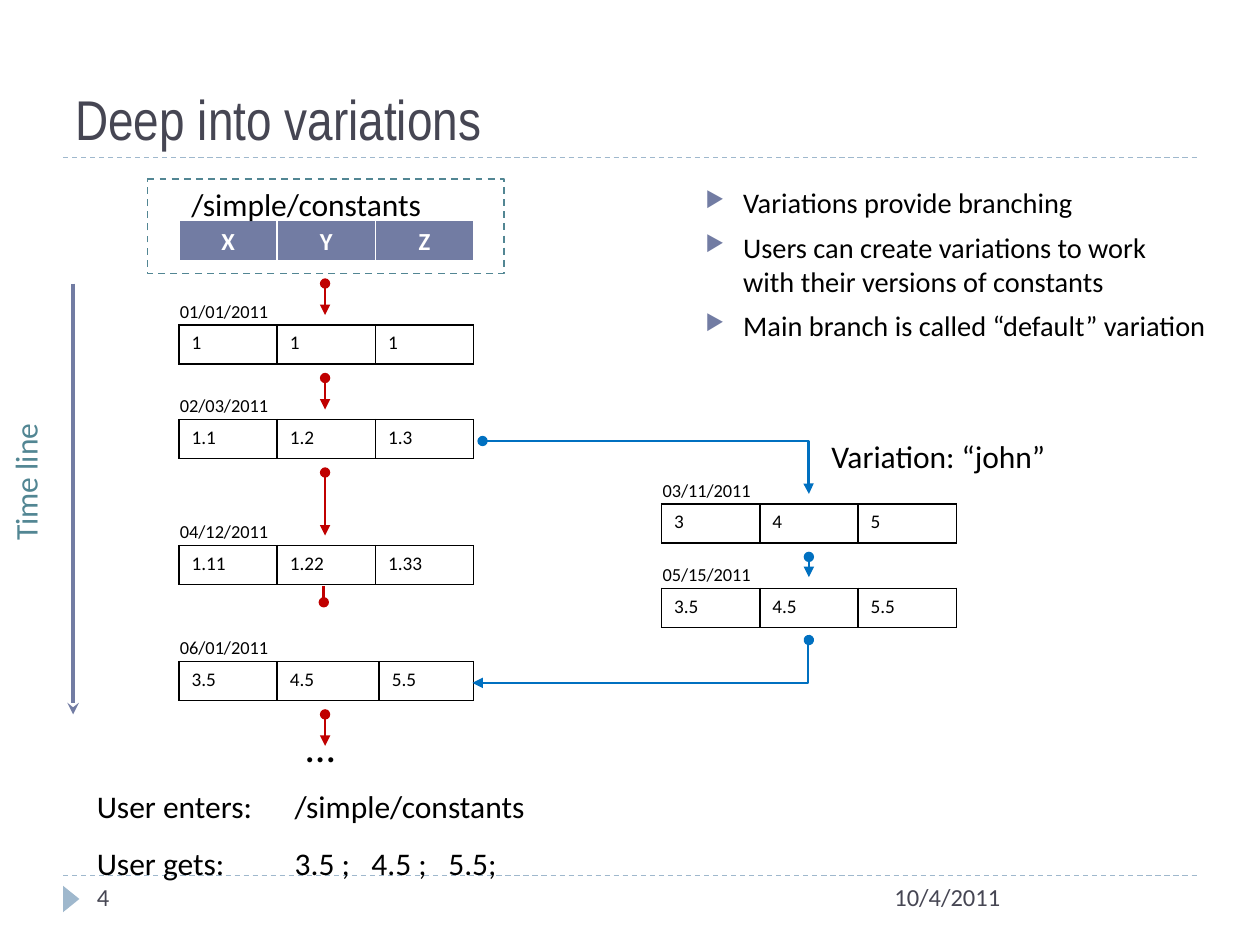
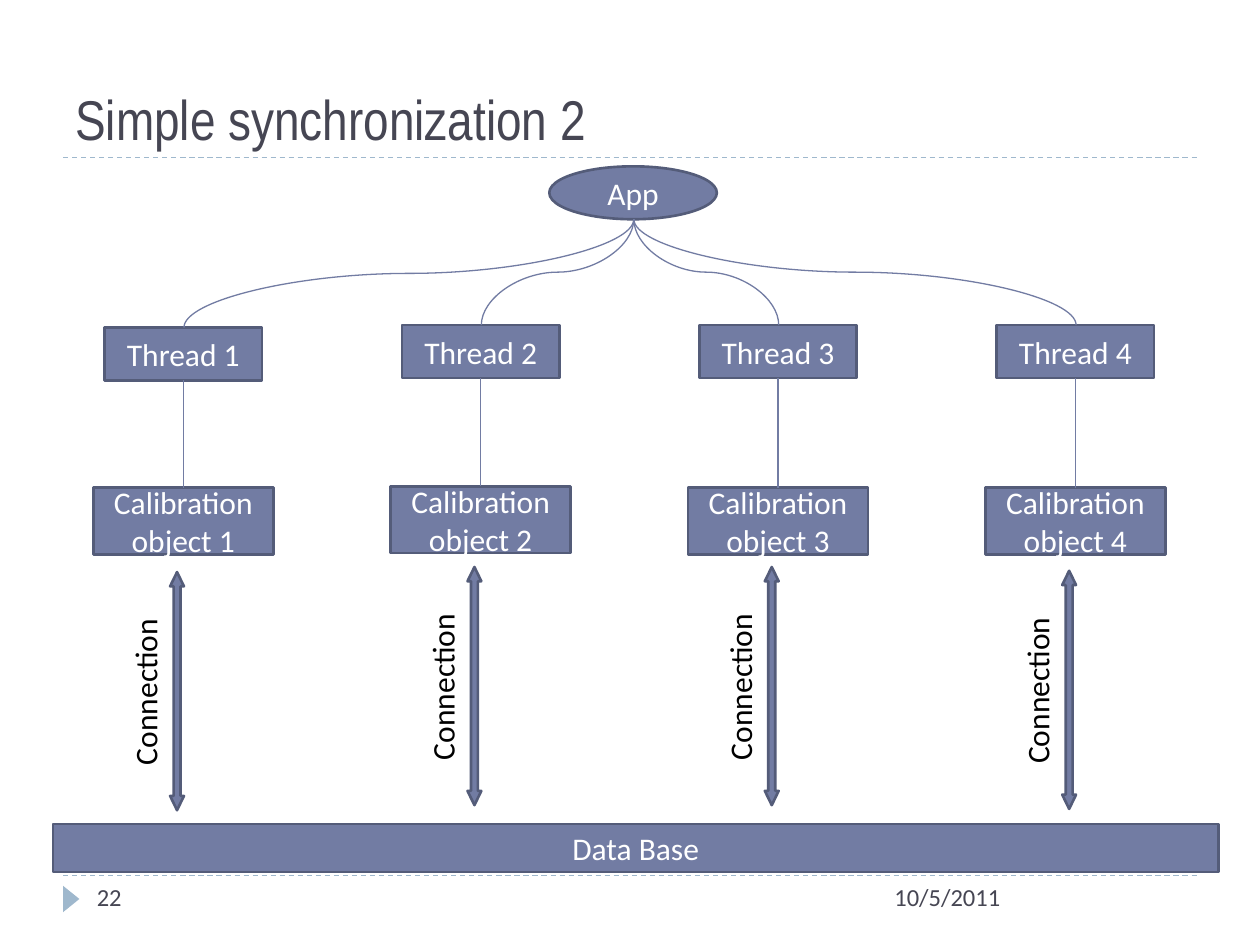
import pptx
import pptx.dml.color
import pptx.enum.dml
import pptx.enum.shapes
import pptx.enum.text
import pptx.oxml
import pptx.oxml.ns
import pptx.util
from lxml import etree

Inches = pptx.util.Inches
Pt = pptx.util.Pt
RGBColor = pptx.dml.color.RGBColor
qn = pptx.oxml.ns.qn
MSO_SHAPE = pptx.enum.shapes.MSO_SHAPE
MSO_CONNECTOR = pptx.enum.shapes.MSO_CONNECTOR
PP_ALIGN = pptx.enum.text.PP_ALIGN
MSO_ANCHOR = pptx.enum.text.MSO_ANCHOR
DASH = pptx.enum.dml.MSO_LINE.DASH

SLATE = RGBColor(0x72, 0x7C, 0xA3)
SLATE_EDGE = RGBColor(0x54, 0x5C, 0x79)
PALE_BLUE = RGBColor(0x9F, 0xB8, 0xCD)
TEAL = RGBColor(0x52, 0x86, 0x93)
TITLE_GREY = RGBColor(0x46, 0x46, 0x53)
RED = RGBColor(0xC0, 0x00, 0x00)
BLUE = RGBColor(0x00, 0x70, 0xC0)
BLACK = RGBColor(0, 0, 0)
WHITE = RGBColor(0xFF, 0xFF, 0xFF)

BODY_FONT = "Calibri"
TITLE_FONT = "Arial Narrow"
COLUMN_WIDTH = 0.78


def set_all(target, formats):
    for name, value in formats.items():
        setattr(target, name, value)


class Deck:
    """Holds the presentation, its shared style and the slide being drawn."""

    def __init__(self):
        self.presentation = pptx.Presentation()
        set_all(self.presentation, {"slide_width": Inches(10), "slide_height": Inches(7.5)})
        self.slide = None

    def new_slide(self, title, number, date):
        self.slide = self.presentation.slides.add_slide(self.presentation.slide_layouts[6])
        for y in (6.95, 1.25):
            self.line((0.5, y), (9.5, y), PALE_BLUE, 0.75, dash=True)
        self.shape(MSO_SHAPE.ISOSCELES_TRIANGLE, (0.46, 7.07, 0.21, 0.13),
                   fill=PALE_BLUE, rotation=90)
        self.text((0.5, 0.17, 9, 1.08), [title], 32, TITLE_GREY, font=TITLE_FONT,
                  anchor=MSO_ANCHOR.BOTTOM, wrap=True)
        self.text((7, 6.95, 2.5, 0.4), [date], 14, TITLE_GREY, wrap=True)
        self.text((0.67, 6.95, 2.17, 0.4), [number], 14, TITLE_GREY, wrap=True)

    def fill_text(self, frame, lines, size, color, font=BODY_FONT, bold=False,
                  **paragraph_formats):
        """Fill a text frame with one paragraph per line; a newline inside breaks the line."""
        for index, line in enumerate(lines):
            paragraph = frame.paragraphs[0] if index == 0 else frame.add_paragraph()
            paragraph.text = line
            set_all(paragraph, paragraph_formats)
            for run in paragraph.runs:
                set_all(run.font, {"name": font, "size": Pt(size), "bold": bold})
                run.font.color.rgb = color
            for line_break in paragraph._p.findall(qn("a:br")):
                etree.SubElement(line_break, qn("a:rPr"), sz=str(round(size * 100)))

    def text(self, at, lines, size=18, color=BLACK, font=BODY_FONT, anchor=MSO_ANCHOR.TOP,
             wrap=False, rotation=0, **paragraph_formats):
        box = self.slide.shapes.add_textbox(*map(Inches, at))
        box.rotation = rotation
        set_all(box.text_frame, {"word_wrap": wrap, "vertical_anchor": anchor})
        self.fill_text(box.text_frame, lines, size, color, font, **paragraph_formats)
        return box

    def bullets(self, at, lines, size):
        box = self.text(at, lines, size, wrap=True, space_before=Pt(6))
        for paragraph in box.text_frame.paragraphs:
            properties = paragraph._p.get_or_add_pPr()
            properties.set("marL", str(Inches(0.3)))
            properties.set("indent", str(Inches(-0.3)))
            bullet_color = etree.SubElement(properties, qn("a:buClr"))
            etree.SubElement(bullet_color, qn("a:srgbClr"), val=str(SLATE))
            etree.SubElement(properties, qn("a:buSzPct"), val="76000")
            etree.SubElement(properties, qn("a:buChar"), char="▶")

    def shape(self, kind, at, lines=(), fill=SLATE, edge=None, edge_width=1.5, dash=False,
              rotation=0, color=WHITE, align=PP_ALIGN.CENTER, **paragraph_formats):
        shape = self.slide.shapes.add_shape(kind, *map(Inches, at))
        shape.shadow.inherit = False
        shape.rotation = rotation
        shape.fill.solid()
        shape.fill.fore_color.rgb = fill
        if edge is None:
            shape.line.fill.background()
        else:
            shape.line.color.rgb = edge
            shape.line.width = Pt(edge_width)
        if dash:
            shape.line.dash_style = DASH
        shape.text_frame.vertical_anchor = MSO_ANCHOR.MIDDLE
        self.fill_text(shape.text_frame, lines, 18, color, alignment=align, **paragraph_formats)
        return shape

    def line(self, start, end, color, width=1.5, head=None, tail=None, dash=False,
             kind=MSO_CONNECTOR.STRAIGHT, bend=None):
        """Draw a connector; bend is where an elbow turns, in 1/100000 of its width."""
        connector = self.slide.shapes.add_connector(kind, *map(Inches, (*start, *end)))
        connector.line.color.rgb = color
        connector.line.width = Pt(width)
        if dash:
            connector.line.dash_style = DASH
        outline = connector.line._get_or_add_ln()
        for tag, arrow in (("a:headEnd", head), ("a:tailEnd", tail)):
            if arrow:
                etree.SubElement(outline, qn(tag), type=arrow)
        properties = connector._element.spPr
        etree.SubElement(properties, qn("a:effectLst"))
        if bend is not None:
            guides = properties.find(qn("a:prstGeom")).get_or_add_avLst()
            etree.SubElement(guides, qn("a:gd"), name="adj1", fmla=f"val {bend}")
        return connector

    def flow(self, start, end, color, **options):
        self.line(start, end, color, head="oval", tail="triangle", **options)

    def drop_curve(self, start, end):
        """Draw a curve that leaves and arrives vertically, as a turned connector."""
        middle_x, middle_y = (start[0] + end[0]) / 2, (start[1] + end[1]) / 2
        half_width, half_height = (end[1] - start[1]) / 2, abs(end[0] - start[0]) / 2
        goes_left = end[0] < start[0]
        side = half_width if goes_left else -half_width
        curve = self.line((middle_x - side, middle_y - half_height),
                          (middle_x + side, middle_y + half_height),
                          SLATE, 0.75, kind=MSO_CONNECTOR.CURVE)
        quarter_turns = 1 if goes_left else 3
        curve._element.spPr.find(qn("a:xfrm")).set("rot", str(quarter_turns * 5400000))

    def row_table(self, left, top, values, height=0.31, widths=(COLUMN_WIDTH,) * 3,
                  size=11, color=BLACK, bold=False, align=PP_ALIGN.LEFT, fill=None,
                  border=BLACK, bottom_width=1):
        """Draw a table of a single row."""
        table = self.slide.shapes.add_table(
            1, len(values), *map(Inches, (left, top, sum(widths), height))).table
        set_all(table, {"first_row": False, "horz_banding": False})
        for column, width in zip(table.columns, widths):
            column.width = Inches(width)
        for cell, value in zip(table.rows[0].cells, values):
            self.fill_text(cell.text_frame, [value], size, color, bold=bold, alignment=align)
            properties = cell._tc.get_or_add_tcPr()
            for edge in "LRTB":
                width = bottom_width if edge == "B" else 1
                outline = etree.SubElement(properties, qn(f"a:ln{edge}"), w=str(Pt(width)))
                paint = etree.SubElement(outline, qn("a:solidFill"))
                etree.SubElement(paint, qn("a:srgbClr"), val=str(border))
            if fill is None:
                cell.fill.background()
            else:
                cell.fill.solid()
                cell.fill.fore_color.rgb = fill

    def version(self, left, top, date, values, **options):
        """Draw a row of constants with its date above."""
        self.row_table(left, top, values, **options)
        self.text((left - 0.09, top - 0.25, 0.92, 0.28), [date], 10.5)


def draw_variations(deck):
    deck.new_slide("Deep into variations", "4", "10/4/2011")
    deck.shape(MSO_SHAPE.FLOWCHART_PROCESS, (1.17, 1.42, 2.83, 0.75), fill=WHITE,
               edge=TEAL, edge_width=1, dash=True)
    deck.line((0.58, 2.25), (0.58, 5.67), SLATE, 2.25, tail="stealth")
    deck.text((-0.37, 3.62, 1.14, 0.4), ["Time line"], color=TEAL, rotation=270)

    deck.row_table(1.42, 1.75, ("X", "Y", "Z"), height=0.17, size=14, color=WHITE, bold=True,
                   align=PP_ALIGN.CENTER, fill=SLATE, border=WHITE, bottom_width=3)
    deck.text((1.42, 1.42, 2.1, 0.4), ["/simple/constants"])

    main_left, john_left = 1.42, 5.25
    deck.version(main_left, 2.58, "01/01/2011", ("1", "1", "1"))
    deck.version(main_left, 3.33, "02/03/2011", ("1.1", "1.2", "1.3"))
    deck.version(main_left, 4.33, "04/12/2011", ("1.11", "1.22", "1.33"))
    deck.version(main_left, 5.25, "06/01/2011", ("3.5", "4.5", "5.5"),
                 widths=(COLUMN_WIDTH, 0.81, 0.75))
    deck.version(john_left, 4, "03/11/2011", ("3", "4", "5"))
    deck.version(john_left, 4.67, "05/15/2011", ("3.5", "4.5", "5.5"))
    deck.text((6.5, 3.42, 1.92, 0.4), ["Variation: “john”"])

    for start, end in ((2.25, 2.5), (3, 3.25), (3.75, 4.25), (5.67, 5.92)):
        deck.flow((2.58, start), (2.58, end), RED)
    deck.line((2.57, 4.65), (2.57, 4.78), RED, tail="oval")
    deck.flow((6.42, 4.42), (6.42, 4.58), BLUE)
    deck.flow((3.83, 3.5), (6.42, 3.92), BLUE, kind=MSO_CONNECTOR.ELBOW, bend=99900)
    deck.flow((6.42, 5.08), (3.75, 5.42), BLUE, kind=MSO_CONNECTOR.ELBOW, bend=300)

    deck.bullets((5.5, 1.42, 4.25, 1.17), [
        "Variations provide branching",
        "Users can create variations to work\nwith their versions of constants",
        "Main branch is called “default” variation",
    ], 16.2)
    deck.text((2.33, 5.67, 0.44, 0.5), ["…"], 24)

    lookup = deck.shape(MSO_SHAPE.RECTANGLE, (0.67, 6.17, 6.5, 0.75),
                        ["User enters:\t/simple/constants", "User gets:\t3.5 ;\t4.5 ;\t5.5;"],
                        fill=WHITE, edge=WHITE, color=BLACK, align=PP_ALIGN.LEFT,
                        line_spacing=1.5)
    for paragraph in lookup.text_frame.paragraphs:
        tabs = etree.SubElement(paragraph._p.get_or_add_pPr(), qn("a:tabLst"))
        for position in (1.57, 2.18, 2.79):
            etree.SubElement(tabs, qn("a:tab"), pos=str(Inches(position)), algn="l")


def draw_synchronization(deck):
    deck.new_slide("Simple synchronization 2", "22", "10/5/2011")
    box = {"fill": SLATE, "edge": SLATE_EDGE}
    deck.shape(MSO_SHAPE.OVAL, (4.36, 1.32, 1.33, 0.42), ["App"], **box)
    deck.shape(MSO_SHAPE.RECTANGLE, (0.42, 6.54, 9.25, 0.38), ["Data Base"], **box)

    thread_tops = (2.6, 2.58, 2.58, 2.58)
    object_tops = (3.87, 3.86, 3.87, 3.87)
    link_middles = (5.48, 5.44, 5.44, 5.47)
    columns = zip(thread_tops, object_tops, link_middles)
    for index, (thread_top, object_top, link_middle) in enumerate(columns):
        center = 1.46 + 2.36 * index
        thread = deck.shape(MSO_SHAPE.RECTANGLE, (center - 0.63, thread_top, 1.25, 0.42),
                            [f"Thread {index + 1}"], **box)
        calibration = deck.shape(MSO_SHAPE.RECTANGLE, (center - 0.72, object_top, 1.43, 0.53),
                                 ["Calibration", f"object {index + 1}"], **box)
        link = deck.shape(MSO_SHAPE.LEFT_RIGHT_ARROW,
                          (center - 1, link_middle - 0.05, 1.89, 0.11), rotation=90, **box)
        link.adjustments[1] = 1.03
        deck.text((center - 1, link_middle - 0.2, 1.38, 0.4), ["Connection"], rotation=270)
        deck.drop_curve((5.03, 1.74), (center, thread_top))
        stem = deck.line((center, thread_top + 0.42), (center, object_top), SLATE, 0.75)
        stem.begin_connect(thread, 2)
        stem.end_connect(calibration, 0)


def main():
    deck = Deck()
    draw_variations(deck)
    draw_synchronization(deck)
    deck.presentation.save("out.pptx")


if __name__ == "__main__":
    main()
